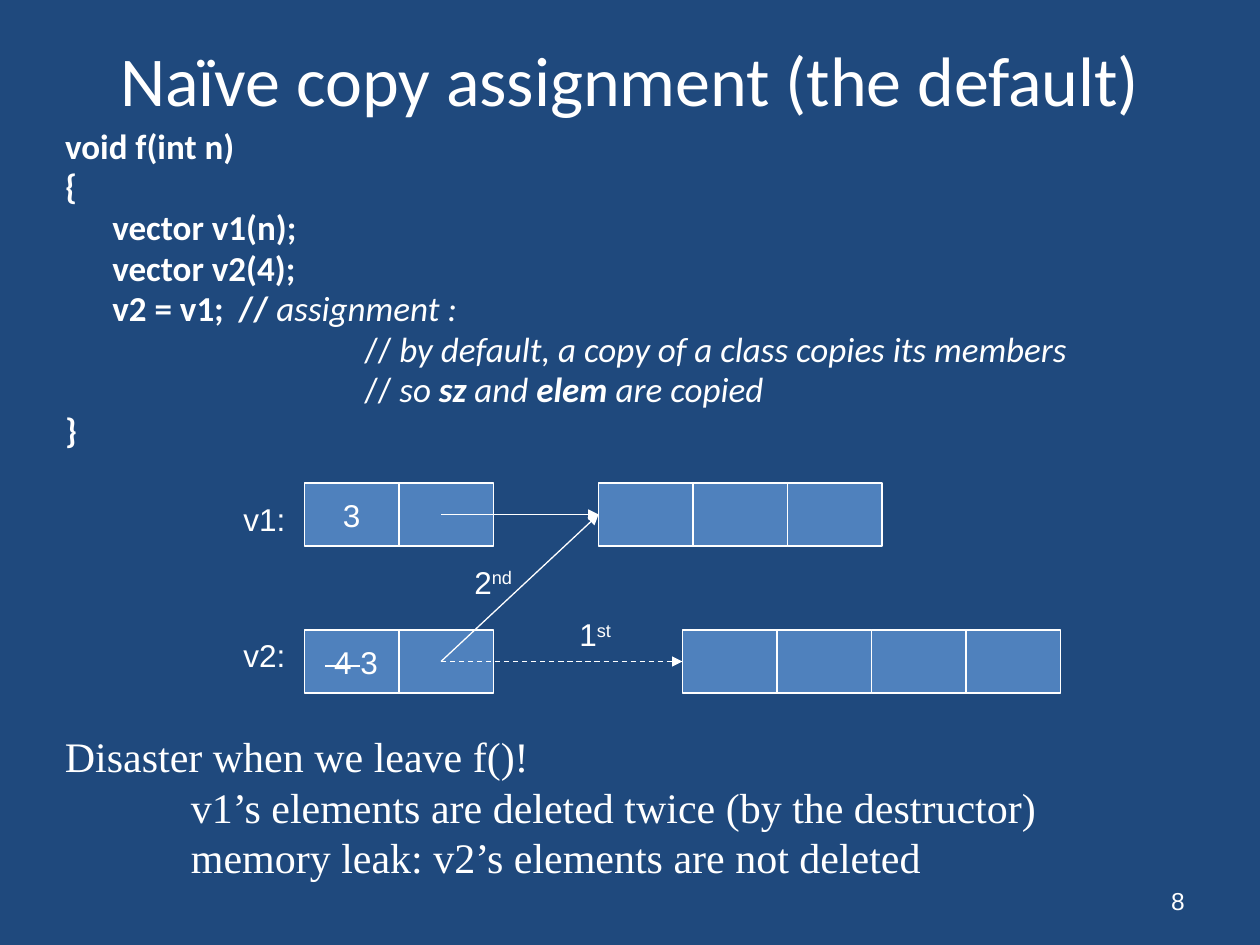
import pptx
import pptx.util
import pptx.dml.color
import pptx.enum.dml
import pptx.enum.shapes
import pptx.enum.text
import pptx.oxml

Pt = pptx.util.Pt
ALIGN = pptx.enum.text.PP_ALIGN
ANCHOR = pptx.enum.text.MSO_ANCHOR
NS = 'xmlns:a="http://schemas.openxmlformats.org/drawingml/2006/main"'
COLORS = {name: pptx.dml.color.RGBColor.from_string(code) for name, code in
          {"back": "1F497D", "cell": "4F81BD", "ink": "FFFFFF"}.items()}

prs = pptx.Presentation()
prs.slide_width = pptx.util.Inches(10)
prs.slide_height = pptx.util.Inches(7.5)
UNIT = prs.slide_width // 120
TAB = str(12 * UNIT)
CELL_W, CELL_H = 9, 6
s = prs.slides.add_slide(prs.slide_layouts[1])
s.background.fill.solid()
s.background.fill.fore_color.rgb = COLORS["back"]


def place(sp, x, y, w, h):
    sp.left, sp.top, sp.width, sp.height = (round(v * UNIT) for v in (x, y, w, h))


def write(p, pieces, font, size):
    for text, style in pieces:
        r = p.add_run()
        r.text = text
        r.font.name = font
        r.font.size = Pt(size)
        r.font.color.rgb = COLORS["ink"]
        r.font.bold = "b" in style
        r.font.italic = "i" in style
        if "s" in style:
            r.font._element.set("strike", "sngStrike")
        if "^" in style:
            r.font._element.set("baseline", "30000")


title = s.shapes.title
place(title, 6, 0, 108, 15)
title.text_frame.vertical_anchor = ANCHOR.MIDDLE
title.text_frame.paragraphs[0].alignment = ALIGN.CENTER
write(title.text_frame.paragraphs[0],
      [("Naïve copy assignment (the default)", "")], "Calibri", 40)

code = [
    [("void f(int n)", "b")],
    [("{", "b")],
    [("\tvector v1(n);", "b")],
    [("\tvector v2(4);", "b")],
    [("\tv2 = v1;\t// ", "b"), ("assignment :", "i")],
    [("\t\t\t// ", ""), ("by default, a copy of a class copies its members", "i")],
    [("\t\t\t// ", ""), ("so ", "i"), ("sz", "bi"), (" and ", "i"),
     ("elem ", "bi"), ("are copied", "i")],
    [("}", "b")],
]
body = s.placeholders[1]
place(body, 5, 12, 111, 35)
tf = body.text_frame
tf.auto_size = pptx.enum.text.MSO_AUTO_SIZE.NONE
for i, line in enumerate(code):
    p = tf.paragraphs[0] if i == 0 else tf.add_paragraph()
    p.line_spacing = 0.8
    p.space_before = Pt(4)
    pPr = p._p.get_or_add_pPr()
    pPr.set("marL", "342900")
    pPr.set("indent", "-342900")
    pPr.set("defTabSz", TAB)
    pPr.append(pptx.oxml.parse_xml(f"<a:buNone {NS}/>"))
    write(p, line, "Calibri", 20)

cell_rows = [
    (29, 46, [[("3", "")], []]),
    (57, 46, [[]] * 3),
    (29, 60, [[(" 4 ", "s"), ("3", "")], []]),
    (65, 60, [[]] * 4),
]
for x, y, cells in cell_rows:
    for i, pieces in enumerate(cells):
        sp = s.shapes.add_shape(pptx.enum.shapes.MSO_SHAPE.RECTANGLE, 0, 0, 0, 0)
        place(sp, x + i * CELL_W, y, CELL_W, CELL_H)
        sp.shadow.inherit = False
        sp.fill.solid()
        sp.fill.fore_color.rgb = COLORS["cell"]
        sp.line.color.rgb = COLORS["ink"]
        sp.line.width = Pt(0.75)
        sp.text_frame.word_wrap = False
        sp.text_frame.vertical_anchor = ANCHOR.MIDDLE
        sp.text_frame.paragraphs[0].alignment = ALIGN.CENTER
        write(sp.text_frame.paragraphs[0], pieces, "Arial", 18)

arrows = [(42, 49, 57, 49, False), (42, 63, 57, 49, False), (42, 63, 65, 63, True)]
for x1, y1, x2, y2, dashed in arrows:
    sp = s.shapes.add_connector(pptx.enum.shapes.MSO_CONNECTOR.STRAIGHT,
                                *(v * UNIT for v in (x1, y1, x2, y2)))
    sp.line.color.rgb = COLORS["ink"]
    sp.line.width = Pt(0.75)
    if dashed:
        sp.line.dash_style = pptx.enum.dml.MSO_LINE.DASH
    sp.line._get_or_add_ln().append(
        pptx.oxml.parse_xml(f'<a:tailEnd {NS} type="triangle"/>'))
    sp._element.spPr.append(pptx.oxml.parse_xml(f"<a:effectLst {NS}/>"))

labels = [
    (22, 47, 8, [("v1:", "")]),
    (22, 60, 8, [("v2:", "")]),
    (44, 53, 13, [("2", ""), ("nd ", "^")]),
    (54, 58, 13, [("1", ""), ("st ", "^")]),
]
for x, y, w, pieces in labels:
    sp = s.shapes.add_textbox(0, 0, 0, 0)
    place(sp, x, y, w, 4.8)
    sp.text_frame.word_wrap = True
    write(sp.text_frame.paragraphs[0], pieces, "Arial", 18)

disaster = s.shapes.add_textbox(0, 0, 0, 0)
place(disaster, 5, 69, 111, 15.7)
disaster.text_frame.word_wrap = True
p = disaster.text_frame.paragraphs[0]
p.text = ("Disaster when we leave f()!\n"
          "\tv1’s elements are deleted twice (by the destructor)\n"
          "\tmemory leak: v2’s elements are not deleted")
p._p.get_or_add_pPr().set("defTabSz", TAB)
for r in p.runs:
    r.font.name = "Times New Roman"
    r.font.size = Pt(24)
    r.font.color.rgb = COLORS["ink"]

number = s.shapes.add_textbox(0, 0, 0, 0)
place(number, 86, 83.4, 28, 4.8)
number.text_frame.word_wrap = True
number.text_frame.vertical_anchor = ANCHOR.MIDDLE
number.text_frame.paragraphs[0].alignment = ALIGN.RIGHT
write(number.text_frame.paragraphs[0], [("8", "")], "Arial", 14)

prs.save("out.pptx")
